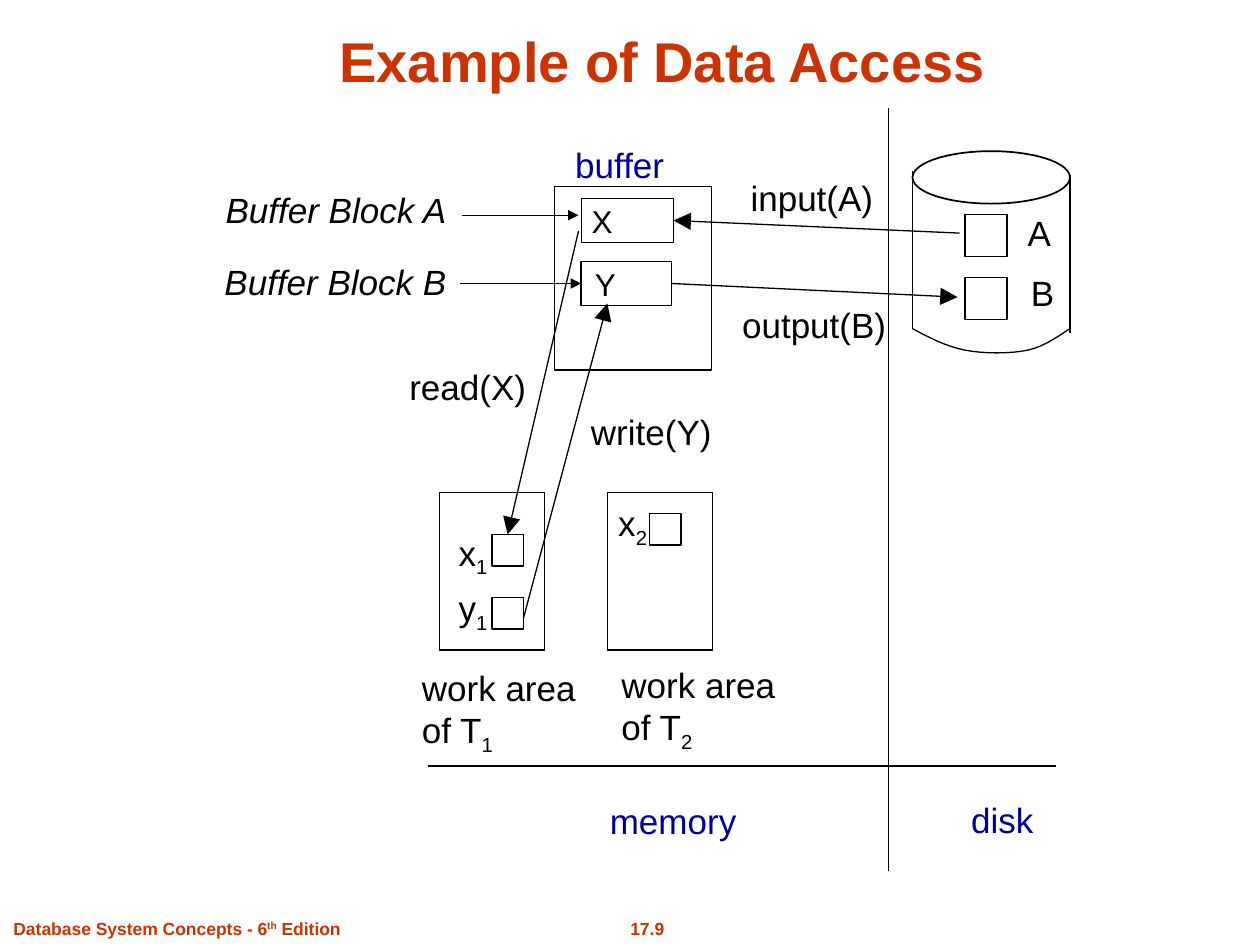
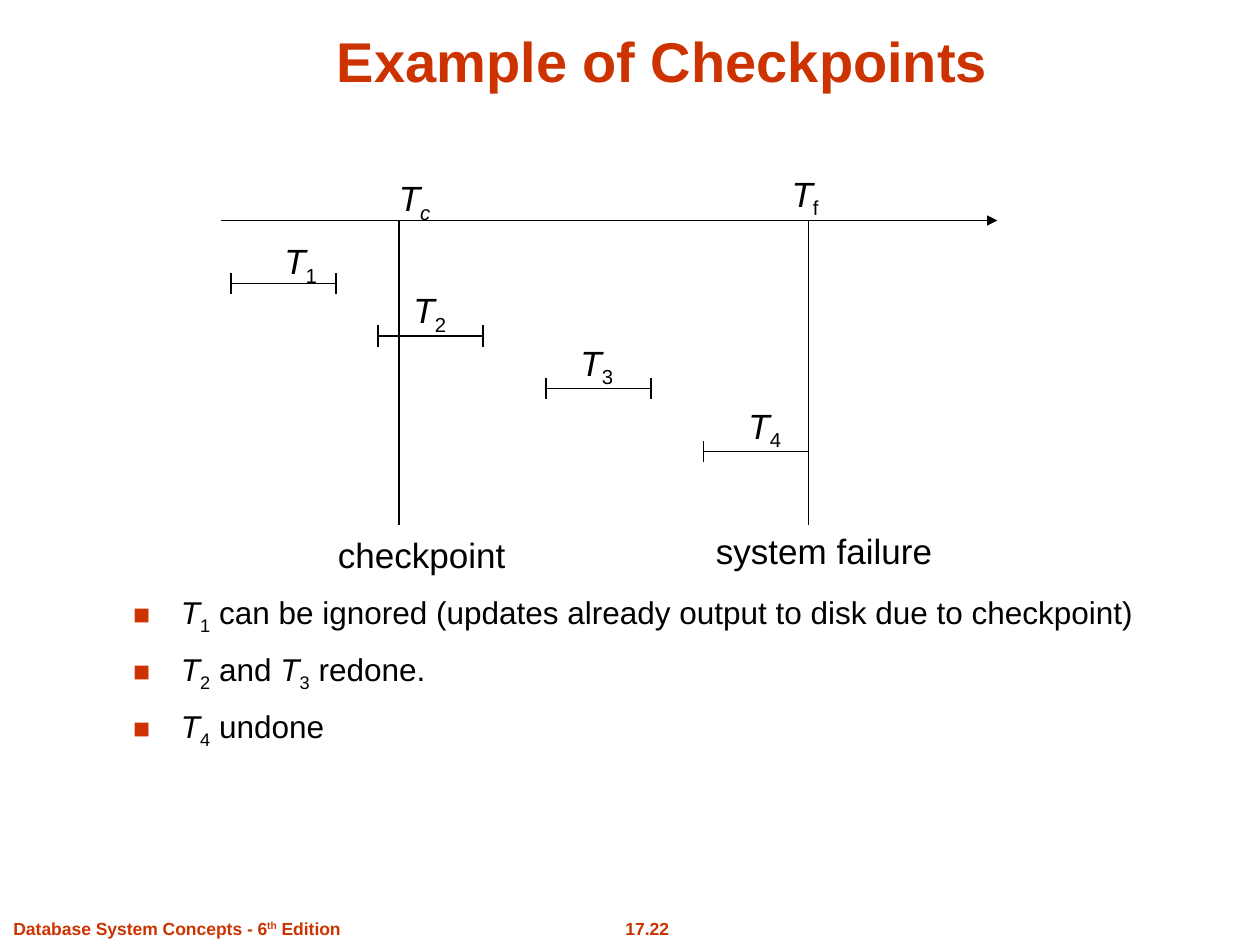
import typing

import pptx
import pptx.dml.color
import pptx.enum.shapes
import pptx.enum.text
import pptx.oxml.ns
import pptx.util
from lxml import etree

RED = pptx.dml.color.RGBColor(0xCC, 0x33, 0x00)
BLUE = pptx.dml.color.RGBColor(0x00, 0x00, 0x99)
BLACK = pptx.dml.color.RGBColor(0x00, 0x00, 0x00)
FONT = "Arial"
COLS, ROWS = 120, 90  # the slide is a grid of square cells, 12 to the inch
CELL = pptx.util.Inches(10) / COLS
ROW = 5.3  # height of a one-line label

SHAPE = pptx.enum.shapes.MSO_SHAPE
ALIGN = pptx.enum.text.PP_ALIGN
ANCHOR = pptx.enum.text.MSO_ANCHOR
FIT = pptx.enum.text.MSO_AUTO_SIZE
Point = tuple[float, float]


class Box(typing.NamedTuple):
    left: float
    top: float
    width: float
    height: float


class Label(typing.NamedTuple):
    words: str
    left: float
    top: float
    width: float
    color: pptx.dml.color.RGBColor = BLACK


class Span(typing.NamedTuple):
    """A transaction that runs on the timeline, with the place of its name."""
    name: str
    start: float
    row: float
    left: float
    top: float


def grid(*cells: float) -> list[int]:
    return [round(cell * CELL) for cell in cells]


def add(parent, tag: str, **values: str):
    node = etree.SubElement(parent, pptx.oxml.ns.qn(tag))
    for key, value in values.items():
        node.set(key, value)
    return node


def mark(para) -> None:
    """Give the paragraph a red square bullet with a hanging indent."""
    props = para._p.get_or_add_pPr()
    indent = pptx.util.Inches(0.38)
    props.set("marL", str(indent))
    props.set("indent", str(-indent))
    add(add(props, "a:buClr"), "a:srgbClr", val=str(RED))
    add(props, "a:buSzPct", val="90000")
    add(props, "a:buFont", typeface=FONT)
    add(props, "a:buChar", char="■")


def text(slide, words: str, box: Box, *, shape=None, size=20, color=BLACK,
         bold=False, align=ALIGN.LEFT, anchor=ANCHOR.TOP, inset=1.2,
         bullet=False, gap=0.0):
    """Write words; "|" parts runs that start with / italic, _ sub, ^ super."""
    shape = shape or slide.shapes.add_textbox(*grid(*box))
    frame = shape.text_frame
    frame.word_wrap = True
    frame.vertical_anchor = anchor
    frame.auto_size = FIT.NONE
    frame.margin_left = grid(inset)[0]
    # Left-aligned text may use the right margin, so a snug line never breaks.
    frame.margin_right = 0 if align == ALIGN.LEFT else frame.margin_left
    frame.margin_top = frame.margin_bottom = grid(0.6)[0]
    for index, line in enumerate(words.split("\n")):
        para = frame.add_paragraph() if index else frame.paragraphs[0]
        para.alignment = align
        if bullet:
            mark(para)
        if index and gap:
            para.space_before = pptx.util.Pt(gap)
        for part in line.split("|"):
            run = para.add_run()
            run.text = part.lstrip("/_^")
            flags = part[:len(part) - len(run.text)]
            font = run.font
            font.name, font.size, font.bold = FONT, pptx.util.Pt(size), bold
            font.italic = "/" in flags
            font.color.rgb = color
            if "_" in flags:
                run._r.get_or_add_rPr().set("baseline", "-25000")
            elif "^" in flags:
                run._r.get_or_add_rPr().set("baseline", "30000")
    return shape


def pen(shape, width: float = 0.75) -> None:
    shape.line.color.rgb = BLACK
    shape.line.width = pptx.util.Pt(width)


def plain(shape, width: float = 0.75):
    shape.shadow.inherit = False
    shape.fill.background()
    pen(shape, width)
    return shape


def rect(slide, box: Box):
    return plain(slide.shapes.add_shape(SHAPE.RECTANGLE, *grid(*box)))


def line(slide, start: Point, end: Point, head: str = ""):
    """Draw a straight line; head is the arrowhead size, med or lg."""
    kind = pptx.enum.shapes.MSO_CONNECTOR.STRAIGHT
    link = slide.shapes.add_connector(kind, *grid(*start, *end))
    pen(link)
    if head:
        add(link.line._get_or_add_ln(), "a:tailEnd", type="triangle", w=head, len=head)
    add(link._element.spPr, "a:effectLst")
    return link


def label(slide, item: Label) -> None:
    box = Box(item.left, item.top, item.width, ROW * len(item.words.split("\n")))
    text(slide, item.words, box, color=item.color)


def curve(points: list[Point], steps: int = 8) -> list[Point]:
    """Points along a cubic curve, without its start."""
    found = []
    for step in range(1, steps + 1):
        t = step / steps
        share = ((1 - t) ** 3, 3 * t * (1 - t) ** 2, 3 * t * t * (1 - t), t ** 3)
        found.append(tuple(sum(w * p[axis] for w, p in zip(share, points))
                           for axis in (0, 1)))
    return found


def start(deck, title: str, number: str):
    slide = deck.slides.add_slide(deck.slide_layouts[6])
    brand = dict(color=RED, bold=True)
    text(slide, number, Box(55.3, 86.8, 12.7, 3.2), size=10, align=ALIGN.CENTER, **brand)
    text(slide, "Database System Concepts - 6|^th| Edition",
         Box(0.1, 86.8, 33.5, 3.2), size=10, **brand)
    text(slide, title, Box(10.1, 1.5, 106, 8), size=32, align=ALIGN.CENTER,
         anchor=ANCHOR.BOTTOM, **brand)
    return slide


def disk(slide, left: float, top: float) -> None:
    """Draw the cylinder and the two blocks that it holds."""
    right, base = left + 15, 31.3
    plain(slide.shapes.add_shape(SHAPE.OVAL, *grid(left, top, 15, 5)), 1)
    line(slide, (left, 16.3), (left, base))
    line(slide, (right, 16.7), (right, base + 0.4))
    knots = [(0, 0), (1.6, 0.85), (3.2, 1.7), (5, 2.05), (6.8, 2.4), (9.3, 2.4),
             (11, 2.05), (12.7, 1.7), (14.4, 0.35), (15, 0)]
    arc = [(left + x, base + y) for x, y in knots]
    rim = slide.shapes.build_freeform(*grid(*arc[0]))
    points = [p for first in (0, 3, 6) for p in curve(arc[first:first + 4])]
    rim.add_line_segments([tuple(grid(*p)) for p in points], close=False)
    plain(rim.convert_to_shape())
    for row in (20.4, 26.4):
        rect(slide, Box(left + 5, row, 4, 4))


def access(deck) -> None:
    slide = start(deck, "Example of Data Access", "17.9")
    rect(slide, Box(52.8, 17.75, 15, 17.5))
    blocks = []
    for name, top, width, inset in (("X", 18.9, 8.8, 1), ("Y", 24.9, 8.6, 1.3)):
        box = Box(55.35, top, width, 4.2)
        blocks.append(text(slide, name, box, shape=rect(slide, box), size=18,
                           anchor=ANCHOR.MIDDLE, inset=inset))
    disk(slide, 86.9, 14.4)
    for left in (41.85, 57.85):
        rect(slide, Box(left, 46.9, 10, 15))
    slots = [rect(slide, Box(left, top, 3, 3))
             for left, top in ((46.85, 50.9), (46.85, 56.9), (61.85, 48.9))]

    line(slide, (40.8, 72.95), (100.6, 72.95))
    line(slide, (84.6, 10.3), (84.6, 83))
    line(slide, (44, 20.5), (55.1, 20.5), "med")
    line(slide, (43.8, 27), (55.35, 27), "med").end_connect(blocks[1], 1)
    line(slide, (91.4, 22.2), (64.1, 21), "lg").end_connect(blocks[0], 3)
    line(slide, (63.9, 27), (91.2, 28.3), "lg").begin_connect(blocks[1], 3)
    line(slide, (55.1, 22), (48.3, 50.9), "lg").end_connect(slots[0], 0)
    line(slide, (49.85, 58.9), (57.85, 28.9), "lg")

    for item in (
        Label("A", 96.7, 19.6, 4.6),
        Label("B", 97, 25.3, 4.6),
        Label("x|_1", 42.5, 50, 5.2),
        Label("y|_1", 42.5, 55.3, 5.6),
        Label("x|_2", 57.7, 47.2, 5.2),
        Label("buffer", 53.6, 13.1, 10.9, BLUE),
        Label("/Buffer Block A", 20.3, 17.4, 24.5),
        Label("/Buffer Block B", 20.2, 24.2, 23.5),
        Label("input(A)", 70.3, 16.2, 14),
        Label("output(B)", 69.5, 28.3, 17),
        Label("read(X)", 37.8, 34.2, 13.6),
        Label("write(Y)", 55.1, 38.5, 13.9),
        Label("work area\nof T|_1", 39, 62.9, 18),
        Label("work area\nof T|_2", 58, 62.6, 17),
        Label("memory", 56.9, 75.6, 14.4, BLUE),
        Label("disk", 91.3, 75.5, 8.3, BLUE),
    ):
        label(slide, item)


def checks(deck) -> None:
    slide = start(deck, "Example of Checkpoints", "17.22")
    axis, check, crash = 21, 38, 77
    line(slide, (21, axis), (95, axis), "med")
    for col in (check, crash):
        line(slide, (col, axis), (col, 50))
    for item in (
        Label("/T|/_c", 36.8, 16.2, 5.4),
        Label("/T|_f", 74.2, 15.8, 4.9),
        Label("checkpoint", 31, 50.2, 18.4),
        Label("system failure", 67, 49.8, 22.9),
    ):
        label(slide, item)
    for span in (
        Span("1", 22, 27, 25.9, 22.2),
        Span("2", 36, 32, 38.2, 26.9),
        Span("3", 52, 37, 54.1, 31.9),
        Span("4", 67, 43, 70.1, 37.9),
    ):
        end = span.start + 10
        line(slide, (span.start, span.row), (end, span.row))
        for col in (span.start, end):
            line(slide, (col, span.row - 1), (col, span.row + 1))
        label(slide, Label(f"/T|_{span.name}", span.left, span.top, 5.5))
    points = ("/T|_1| can be ignored (updates already output to disk due to checkpoint)",
              "/T|_2| and |/T|_3| redone.",
              "/T|_4| undone")
    text(slide, "\n".join(points), Box(11.5, 55.9, 108.5, 26), size=18,
         bullet=True, gap=7.9)


def main() -> None:
    deck = pptx.Presentation()
    deck.slide_width, deck.slide_height = grid(COLS, ROWS)
    access(deck)
    checks(deck)
    deck.save("out.pptx")


if __name__ == "__main__":
    main()
